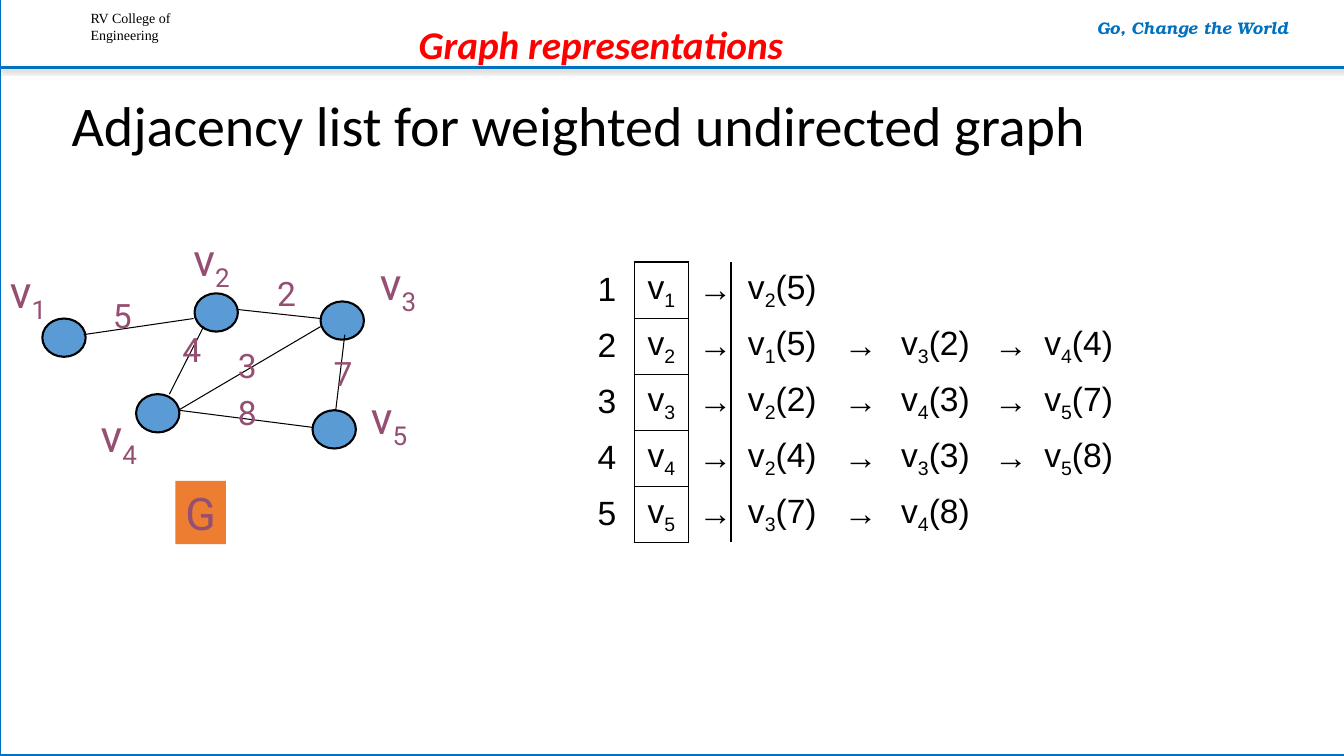
from lxml import etree
from pptx import Presentation
from pptx.dml.color import RGBColor
from pptx.enum.shapes import MSO_CONNECTOR, MSO_SHAPE
from pptx.enum.text import MSO_ANCHOR, MSO_AUTO_SIZE, PP_ALIGN
from pptx.oxml import parse_xml
from pptx.oxml.ns import nsdecls, qn
from pptx.util import Emu, Pt

PX = 9144  # 100 px to the inch
STRAIGHT = MSO_CONNECTOR.STRAIGHT
RECTANGLE, OVAL = MSO_SHAPE.RECTANGLE, MSO_SHAPE.OVAL
LEFT, CENTER = PP_ALIGN.LEFT, PP_ALIGN.CENTER
TOP, MIDDLE = MSO_ANCHOR.TOP, MSO_ANCHOR.MIDDLE
NO_AUTOFIT = MSO_AUTO_SIZE.NONE
NO_TABLE_STYLE = "{2D5ABB26-0587-4C30-8999-92F81FD0307C}"

COLORS = {
    "white": "FFFFFF",
    "black": "000000",
    "frame": "0070C0",
    "heading": "FF0000",
    "node": "5B9BD5",
    "label": "954F72",
    "badge": "ED7D31",
}

# vertex: (node left, node top, label left, label top)
VERTICES = {
    1: (42, 91, 0, 32),
    2: (193, 66, 182, 0),
    3: (318, 74, 367, 24),
    4: (135, 166, 90, 175),
    5: (310, 182, 358, 157),
}
# (vertex, vertex, weight, line start, line end, weight position)
EDGES = [
    (2, 3, 2, (318, 91), (235, 82), (265, 41)),
    (4, 5, 8, (310, 199), (177, 182), (226, 159)),
    (3, 4, 3, (318, 99), (177, 182), (226, 112)),
    (2, 4, 4, (202, 99), (168, 166), (171, 96)),
    (1, 2, 5, (83, 107), (192, 91), (102, 63)),
    (3, 5, 7, (333, 182), (342, 107), (321, 120)),
]
COLUMN_WIDTHS = [54, 54, 42, 102, 53, 96, 39, 110]
# table column: sides that carry a line
CELL_LINES = {0: "R", 1: "LRTB", 2: "L"}


def px(*lengths):
    return [Emu(length * PX) for length in lengths]


def rgb(name):
    return RGBColor.from_string(COLORS[name])


def write(para, pieces, font, size, color, align=LEFT, emphasis=False):
    """Add (text, is_subscript) pieces to a paragraph, one run each."""
    para.alignment = align
    for text, is_subscript in pieces:
        span = para.add_run()
        span.text = text
        span.font.name = font
        span.font.size = Pt(size)
        span.font.bold = span.font.italic = emphasis
        span.font.color.rgb = rgb(color)
        if is_subscript:
            span._r.get_or_add_rPr().set("baseline", "-25000")


def vertex_name(number):
    return [("v", False), (str(number), True)]


def add_text(page, box, lines, *style, wrap=True, **options):
    frame = page.shapes.add_textbox(*px(*box)).text_frame
    frame.word_wrap = wrap
    for index, pieces in enumerate(lines):
        para = frame.add_paragraph() if index else frame.paragraphs[0]
        write(para, pieces, *style, **options)


def add_filled(page, kind, box, fill, line=None, width=0):
    shape = page.shapes.add_shape(kind, *px(*box))
    shape.shadow.inherit = False
    shape.fill.solid()
    shape.fill.fore_color.rgb = rgb(fill)
    if line:
        shape.line.color.rgb = rgb(line)
        shape.line.width = Pt(width)
    else:
        shape.line.fill.background()
    return shape


def add_line(page, start, end, color, width):
    """Draw a line and return its effect list, empty so that it has no shadow."""
    line = page.shapes.add_connector(STRAIGHT, *px(*start, *end))
    line.line.color.rgb = rgb(color)
    line.line.width = Pt(width)
    return etree.SubElement(line._element.spPr, qn("a:effectLst"))


def add_header(page, left, top, width, height):
    add_filled(page, RECTANGLE, (left, top - 1, width + 5, height), "white", "frame", 2)
    college = [[("RV College of", False)], [("Engineering", False)]]
    add_text(page, (left + 80, top + 5, 147, 44), college, "Times New Roman", 10, "black")
    effects = add_line(page, (left, top + 67), (left + width + 9, top + 67), "frame", 2)
    effects.append(parse_xml(
        f'<a:outerShdw {nsdecls("a")} blurRad="39370" dist="20320" dir="5400000" rotWithShape="0">'
        f'<a:srgbClr val="{COLORS["black"]}"><a:alpha val="38000"/></a:srgbClr></a:outerShdw>'))
    add_text(page, (left + width - 300, top + 13, 300, 30), [[("Go, Change the World", False)]],
             "TeX Gyre Bonum", 12, "frame", align=CENTER, emphasis=True)
    add_text(page, (left + 252, top + 15, 688, 57), [[("Graph representations", False)]],
             "Calibri", 28, "heading", align=CENTER, emphasis=True)


def place_title(page, *box):
    title = page.shapes.title
    title.left, title.top, title.width, title.height = px(*box)
    frame = title.text_frame
    frame.auto_size = NO_AUTOFIT
    frame.word_wrap = True
    frame.vertical_anchor = TOP
    para = frame.paragraphs[0]
    para.line_spacing = 0.9
    write(para, [("Adjacency list for weighted undirected graph", False)], "Calibri", 40, "black")
    page.shapes._spTree.append(title._element)  # in front of the white frame


def add_graph(page, left, top):
    def at(x, y):
        return left + x, top + y

    for x, y, _, _ in VERTICES.values():
        add_filled(page, OVAL, (*at(x, y), 43, 38), "node", "black", 1.5)
    for _, _, _, start, end, _ in EDGES:
        add_line(page, at(*start), at(*end), "black", 0.75)
    for number, (_, _, x, y) in VERTICES.items():
        add_text(page, (*at(x, y), 58, 63), [vertex_name(number)], "Roboto", 32, "label", wrap=False)
    for _, _, weight, _, _, place in EDGES:
        add_text(page, (*at(*place), 38, 50), [[(str(weight), False)]], "Roboto", 24, "label", wrap=False)

    badge = add_filled(page, RECTANGLE, (*at(174, 252), 50, 63), "badge").text_frame
    badge.word_wrap = False
    badge.vertical_anchor = TOP
    write(badge.paragraphs[0], [("G", False)], "Roboto", 32, "label")


def adjacency_row(vertex):
    neighbours = sorted((b if a == vertex else a, weight)
                        for a, b, weight, *_ in EDGES if vertex in (a, b))
    row = [[(str(vertex), False)], vertex_name(vertex)]
    for neighbour, weight in neighbours:
        row += [[("→", False)], vertex_name(neighbour) + [(f"({weight})", False)]]
    return row


def add_cell_lines(cell, sides):
    properties = cell._tc.get_or_add_tcPr()
    for index, side in enumerate(sides):
        properties.insert(index, parse_xml(
            f'<a:ln{side} {nsdecls("a")} w="12700"><a:solidFill>'
            f'<a:srgbClr val="{COLORS["black"]}"/></a:solidFill></a:ln{side}>'))


def add_adjacency_table(page, left, top, height):
    box = px(left, top, sum(COLUMN_WIDTHS), height)
    table = page.shapes.add_table(len(VERTICES), len(COLUMN_WIDTHS), *box).table
    table.first_row = table.horz_banding = False
    table._tbl.tblPr.find(qn("a:tableStyleId")).text = NO_TABLE_STYLE
    for column, width in zip(table.columns, px(*COLUMN_WIDTHS)):
        column.width = width
    for vertex, row in zip(VERTICES, table.rows):
        row.height = Emu(height * PX // len(VERTICES))
        texts = adjacency_row(vertex)
        for index, cell in enumerate(row.cells):
            cell.fill.background()
            cell.vertical_anchor = MIDDLE
            add_cell_lines(cell, CELL_LINES.get(index, ""))
            if index < len(texts):
                write(cell.text_frame.paragraphs[0], texts[index], "Arial", 24, "black", align=CENTER)


def main():
    deck = Presentation()
    deck.slide_width, deck.slide_height = px(1333, 750)
    page = deck.slides.add_slide(deck.slide_layouts.get_by_name("Title Only"))
    add_header(page, 0, 0, 1333, 750)
    place_title(page, 61, 92, 1253, 125)
    add_graph(page, 0, 225)
    add_adjacency_table(page, 575, 260, 278)
    deck.save("out.pptx")


if __name__ == "__main__":
    main()
